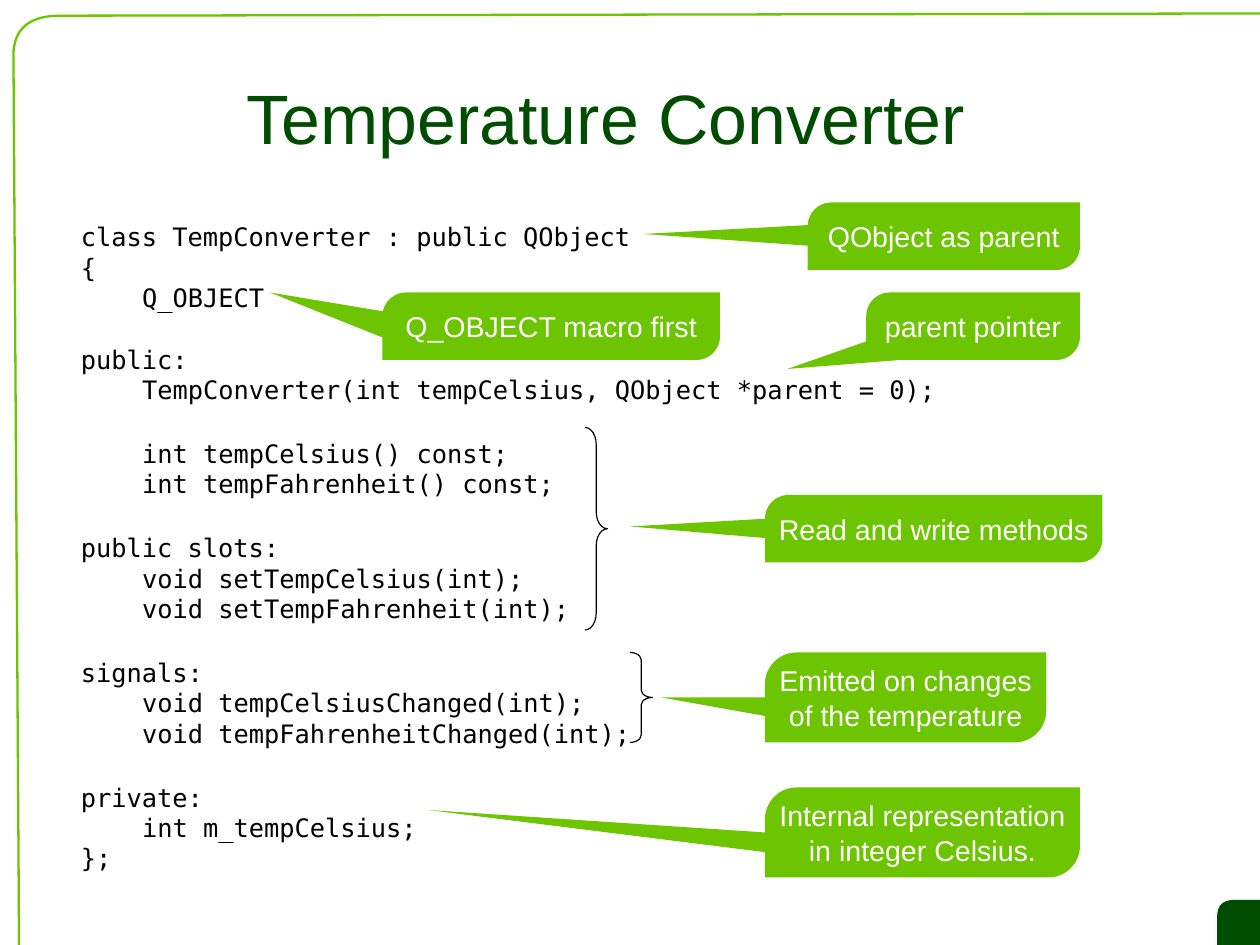
from pptx import Presentation
from pptx import util as u
from pptx.dml.color import RGBColor
from pptx.enum import shapes, text

INK = {"lime": "6DC400", "pine": "004C00", "black": "000000", "white": "FFFFFF"}
SANS, MONO = "Arial", "DejaVu Sans Mono"
CELL = u.Cm(0.5)
COLS, ROWS = 56, 42
TAB = u.Inches(0.535)

CODE = [
    (0, 0, "class TempConverter : public QObject"),
    (0, 0, "{"),
    (0, 1, "Q_OBJECT"),
    (19.3, 0, "public:"),
    (0, 1, "TempConverter(int tempCelsius, QObject *parent = 0);"),
    (21, 1, "int tempCelsius() const;"),
    (0, 1, "int tempFahrenheit() const;"),
    (21, 0, "public slots:"),
    (0, 1, "void setTempCelsius(int);"),
    (0, 1, "void setTempFahrenheit(int);"),
    (21, 0, "signals:"),
    (0, 1, "void tempCelsiusChanged(int);"),
    (0, 1, "void tempFahrenheitChanged(int);"),
    (21, 0, "private:"),
    (0, 1, "int m_tempCelsius;"),
    (0, 0, "};"),
]

NOTES = [
    ("Q_OBJECT macro first", (17, 13, 15, 3), [(12, 13), (18, 14), (17, 15)]),
    ("QObject as parent", (35.9, 9, 12.1, 3), [(28.6, 10.4), (36, 10), (37, 11)]),
    ("parent pointer", (38.5, 13, 9.5, 3), [(35, 16.4), (39, 15), (40, 16)]),
    ("Read and write methods", (34, 22, 15, 3), [(28, 23.4), (35, 23), (35, 24)]),
    ("Emitted on changes\nof the temperature", (34, 29, 12.5, 4),
     [(29.4, 31), (34, 31), (35, 32)]),
    ("Internal representation\nin integer Celsius.", (34, 35, 14, 4),
     [(19, 36), (34, 37), (35, 38)]),
]

BRACES = [(28, 29, 1, 4, 0.33), (26, 19, 1, 9, 0.75)]


def cells(*nums):
    """Turn grid cells into lengths."""
    return [u.Emu(round(n * CELL)) for n in nums]


def bend(start, pull, end, steps=16):
    """Return points along a curve from start to end, drawn towards pull."""
    return [tuple((1 - t) ** 2 * a + 2 * t * (1 - t) * b + t * t * c
                  for a, b, c in zip(start, pull, end))
            for t in (i / steps for i in range(steps + 1))]


class Board:
    """Holds the colours, the grid and the current slide."""

    def __init__(self):
        """Open a deck with one blank slide."""
        self.deck = Presentation()
        self.deck.slide_width, self.deck.slide_height = cells(COLS, ROWS)
        self.slide = self.deck.slides.add_slide(self.deck.slide_layouts[6])
        self.items = self.slide.shapes

    def paint(self, shape, fill=None, line=None, width=0):
        """Set fill and line of a shape."""
        shape.shadow.inherit = False
        if fill:
            shape.fill.solid()
            shape.fill.fore_color.rgb = RGBColor.from_string(INK[fill])
        else:
            shape.fill.background()
        if line:
            shape.line.color.rgb = RGBColor.from_string(INK[line])
            shape.line.width = u.Pt(width)
        else:
            shape.line.fill.background()

    def style(self, frame, size, font, ink, align):
        """Format every run of a text frame."""
        for para in frame.paragraphs:
            para.alignment = align
            for run in para.runs:
                run.font.size = u.Pt(size)
                run.font.name = font
                run.font.color.rgb = RGBColor.from_string(INK[ink])

    def trace(self, points, close=True, **look):
        """Draw an outline through grid points."""
        dots = [cells(*p) for p in points]
        pen = self.items.build_freeform(*dots[0], scale=1.0)
        pen.add_line_segments(dots[1:], close=close)
        self.paint(pen.convert_to_shape(), **look)

    def title(self, words, box):
        """Add the centred heading."""
        frame = self.items.add_textbox(*cells(*box)).text_frame
        frame.word_wrap = True
        frame.margin_left = frame.margin_right = 0
        frame.margin_top = frame.margin_bottom = 0
        frame.vertical_anchor = text.MSO_ANCHOR.MIDDLE
        frame.text = words
        self.style(frame, 44, SANS, "pine", text.PP_ALIGN.CENTER)

    def code(self, lines, box):
        """Add the listing with indents and gaps."""
        frame = self.items.add_textbox(*cells(*box)).text_frame
        frame.word_wrap = True
        frame.text = "\n".join(words for _, _, words in lines)
        self.style(frame, 16, MONO, "black", text.PP_ALIGN.LEFT)
        for para, (gap, depth, _) in zip(frame.paragraphs, lines):
            para.space_before = u.Pt(gap)
            if depth:
                para._p.get_or_add_pPr().set("marL", str(depth * TAB))

    def brace(self, left, top, wide, high, curl):
        """Add a right brace with a hairline."""
        shape = self.items.add_shape(
            shapes.MSO_SHAPE.RIGHT_BRACE, *cells(left, top, wide, high))
        shape.adjustments[0] = curl
        self.paint(shape, line="black")

    def note(self, words, box, tail):
        """Add a callout with its pointer."""
        self.trace(tail, fill="lime")
        shape = self.items.add_shape(
            shapes.MSO_SHAPE.ROUND_2_DIAG_RECTANGLE, *cells(*box))
        shape.adjustments[0] = 0.35
        self.paint(shape, fill="lime")
        frame = shape.text_frame
        frame.word_wrap = False
        frame.vertical_anchor = text.MSO_ANCHOR.MIDDLE
        frame.text = words
        self.style(frame, 18, SANS, "white", text.PP_ALIGN.CENTER)


def main():
    """Build and save the slide."""
    board = Board()
    board.trace([(COLS, 40), *bend((54.85, 40), (54.1, 40), (54.1, 40.75)),
                 (54.1, ROWS), (COLS, ROWS)], fill="pine")
    board.trace([(0.85, ROWS), *bend((0.6, 2.45), (0.62, 0.75), (2.55, 0.7)),
                 (COLS, 0.6)], close=False, line="lime", width=1.45)
    board.title("Temperature Converter", (8.75, 1.7, 36.4, 7))
    board.code(CODE, (3.1, 9.6, 48.9, 28.7))
    for brace in BRACES:
        board.brace(*brace)
    for note in NOTES:
        board.note(*note)
    board.deck.save("out.pptx")


if __name__ == "__main__":
    main()
